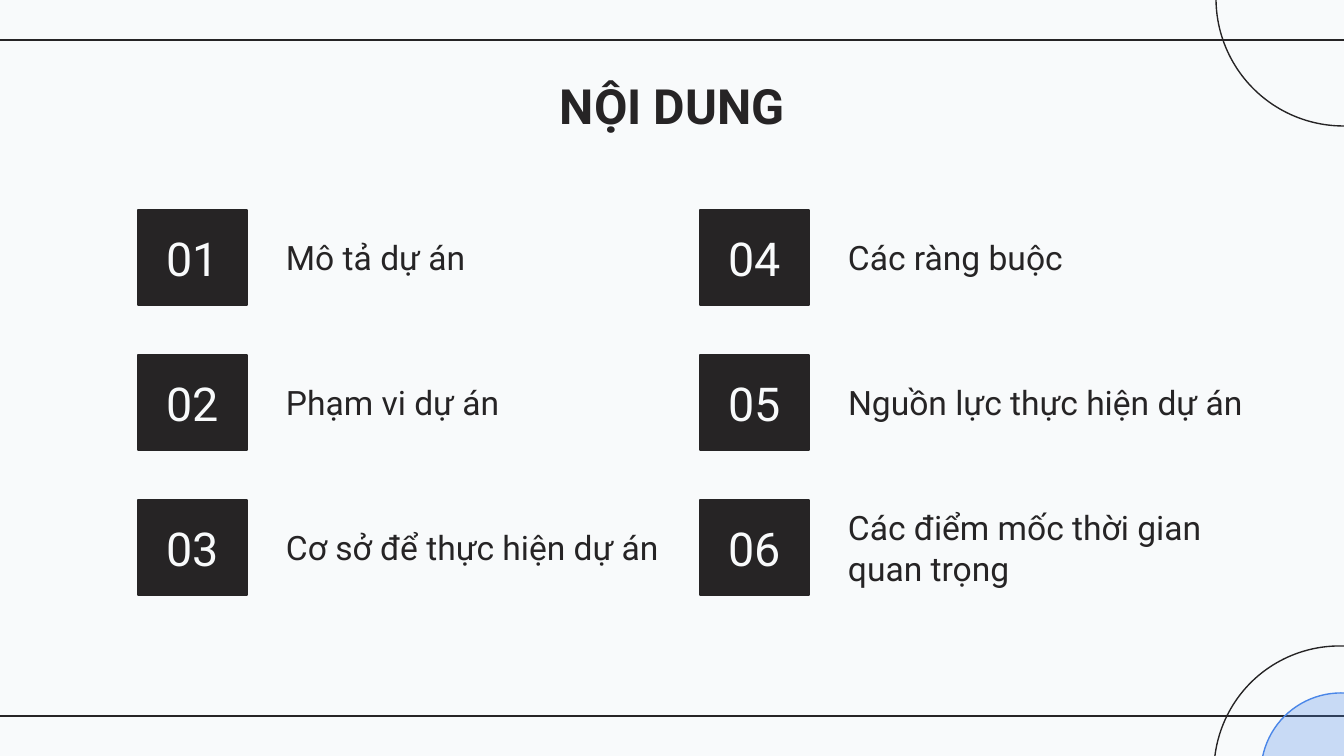
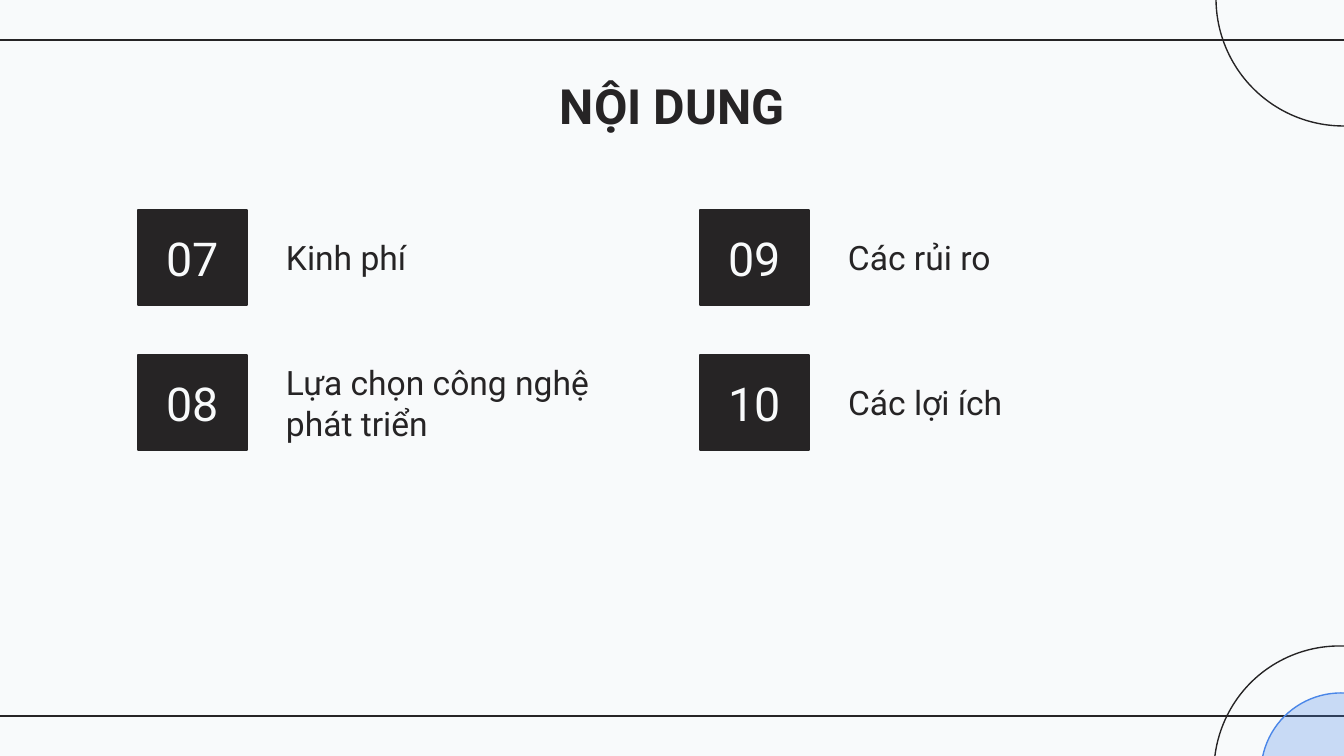
import pptx
import pptx.util
import pptx.dml.color
import pptx.enum.shapes
import pptx.enum.text
import pptx.oxml.ns
import lxml.etree

TITLE = "NỘI DUNG"
SLIDES = [
    [
        ["Mô tả dự án", "Phạm vi dự án", "Cơ sở để thực hiện dự án"],
        ["Các ràng buộc", "Nguồn lực thực hiện dự án", "Các điểm mốc thời gian quan trọng"],
    ],
    [
        ["Kinh phí", "Lựa chọn công nghệ phát triển"],
        ["Các rủi ro", "Các lợi ích"],
    ],
]

COLORS = {"paper": "F8FAFB", "ink": "262425", "blue": "4A86E8"}
FONT = "Roboto"
STYLES = {
    "title": {"size": 26, "bold": True, "color": "ink", "align": "CENTER"},
    "number": {"size": 25, "bold": False, "color": "paper", "align": "CENTER"},
    "entry": {"size": 18, "bold": False, "color": "ink", "align": "LEFT"},
}

SLIDE_W, SLIDE_H = 1344, 756
RULES_Y = [40, 716]
RULE_OVERHANG = 3
CIRCLES = [
    (1214, 646, 251, "ink", None),
    (1261, 693, 160, "blue", 27),
    (1216, -129, 255, "ink", None),
]
TITLE_BOX = (106, 60, 1133, 90)
COLUMNS_X = [138, 700]
FIRST_Y, ROW_STEP = 210, 145
BOX_W, BOX_H = 109, 95
ENTRY_OFFSET, ENTRY_W = 135, 403
WIDE_ENTRIES = {(1, 1): 442}
INSET = 13


def px(n):
    return pptx.util.Emu(round(n * 914400 / 134.4))


def rgb(name):
    return pptx.dml.color.RGBColor.from_string(COLORS[name])


def set_line(sp, color):
    sp.line.color.rgb = rgb(color)
    sp.line.width = pptx.util.Pt(0.75)


def add_shape(s, kind, box, line, fill=None, alpha=None):
    sp = s.shapes.add_shape(kind, *map(px, box))
    sp.shadow.inherit = False
    set_line(sp, line)
    if fill is None:
        sp.fill.background()
    else:
        sp.fill.solid()
        sp.fill.fore_color.rgb = rgb(fill)
    if alpha is not None:
        clr = sp.fill._xPr.find(".//" + pptx.oxml.ns.qn("a:srgbClr"))
        lxml.etree.SubElement(clr, pptx.oxml.ns.qn("a:alpha"), val=str(alpha * 1000))
    return sp


def write(sp, text, style):
    fmt = STYLES[style]
    tf = sp.text_frame
    frame = {"word_wrap": True, "vertical_anchor": pptx.enum.text.MSO_ANCHOR.MIDDLE}
    frame.update({"margin_" + side: px(INSET) for side in ("left", "top", "right", "bottom")})
    for name, value in frame.items():
        setattr(tf, name, value)
    p = tf.paragraphs[0]
    p.alignment = pptx.enum.text.PP_ALIGN[fmt["align"]]
    r = p.add_run()
    r.text = text
    font = {"name": FONT, "size": pptx.util.Pt(fmt["size"]), "bold": fmt["bold"]}
    for name, value in font.items():
        setattr(r.font, name, value)
    r.font.color.rgb = rgb(fmt["color"])


def add_text(s, box, text, style):
    write(s.shapes.add_textbox(*map(px, box)), text, style)


def add_frame(s):
    for y in RULES_Y:
        rule = s.shapes.add_connector(
            pptx.enum.shapes.MSO_CONNECTOR.STRAIGHT,
            px(SLIDE_W + RULE_OVERHANG), px(y), px(-RULE_OVERHANG), px(y))
        set_line(rule, "ink")
        lxml.etree.SubElement(rule._element.spPr, pptx.oxml.ns.qn("a:effectLst"))
    for x, y, d, color, alpha in CIRCLES:
        add_shape(s, pptx.enum.shapes.MSO_SHAPE.OVAL, (x, y, d, d), color,
                  color if alpha else None, alpha)
    add_text(s, TITLE_BOX, TITLE, "title")


def add_contents(s, columns, number):
    for col, entries in enumerate(columns):
        x = COLUMNS_X[col]
        for row, entry in enumerate(entries):
            y = FIRST_Y + row * ROW_STEP
            sp = add_shape(s, pptx.enum.shapes.MSO_SHAPE.RECTANGLE,
                           (x, y, BOX_W, BOX_H), "ink", "ink")
            write(sp, f"{number:02d}", "number")
            w = WIDE_ENTRIES.get((col, row), ENTRY_W)
            add_text(s, (x + ENTRY_OFFSET, y, w, BOX_H), entry, "entry")
            number += 1
    return number


def main():
    prs = pptx.Presentation()
    prs.slide_width, prs.slide_height = px(SLIDE_W), px(SLIDE_H)
    background = prs.slide_master.background.fill
    background.solid()
    background.fore_color.rgb = rgb("paper")
    number = 1
    for columns in SLIDES:
        s = prs.slides.add_slide(prs.slide_layouts[6])
        add_frame(s)
        number = add_contents(s, columns, number)
    prs.save("out.pptx")


if __name__ == "__main__":
    main()
